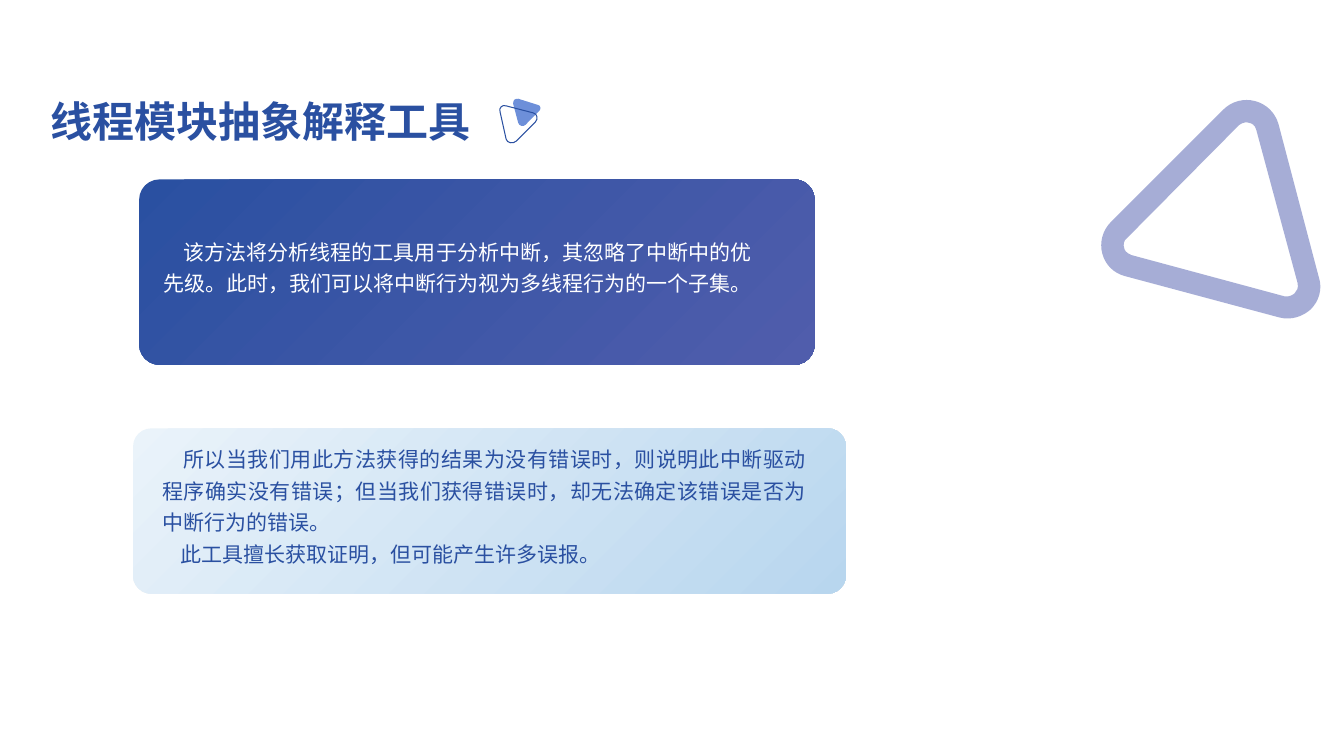
from math import cos, radians, sin

from lxml.etree import SubElement
from pptx import Presentation
from pptx.dml.color import RGBColor as RGB
from pptx.enum.lang import MSO_LANGUAGE_ID as LANG
from pptx.enum.shapes import MSO_SHAPE as SHAPE
from pptx.enum.text import MSO_ANCHOR as ANCHOR, MSO_AUTO_SIZE as AUTO, PP_ALIGN as ALIGN
from pptx.oxml.ns import qn
from pptx.util import Inches, Pt

COLORS = {
    "blue": "2A50A1", "violet": "505DAC", "ice": "EAF3FA", "sky": "B8D6EE",
    "accent": "6D8FD9", "ring": "8891C8", "white": "FFFFFF",
}

# Rounded triangles: each corner is a chain of cubic curves, joined by straight sides
SMALL_SOLID = [
    [(5.21, 1.24), (5.19, 1.26), (5.15, 1.25), (5.14, 1.22)],
    [(5.09, 1.03), (5.09, 1.02), (5.09, 1.0), (5.1, 0.99),
     (5.11, 0.98), (5.13, 0.98), (5.14, 0.98)],
    [(5.33, 1.04), (5.36, 1.04), (5.37, 1.08), (5.35, 1.1)],
]
SMALL_OUTLINE = [
    [(5.12, 1.4), (5.09, 1.43), (5.03, 1.42), (5.02, 1.38)],
    [(4.96, 1.11), (4.95, 1.09), (4.96, 1.07), (4.97, 1.06),
     (4.98, 1.05), (5.0, 1.04), (5.02, 1.05)],
    [(5.29, 1.12), (5.33, 1.13), (5.34, 1.18), (5.31, 1.21)],
]
RING_OUTER = [
    [(11.02, 2.2), (10.84, 2.38), (10.92, 2.68), (11.16, 2.74)],
    [(12.69, 3.15), (12.81, 3.18), (12.92, 3.14), (13.0, 3.07),
     (13.08, 2.99), (13.12, 2.87), (13.08, 2.75)],
    [(12.68, 1.23), (12.61, 0.99), (12.31, 0.91), (12.13, 1.09)],
]
RING_INNER = [
    [(11.22, 2.53), (11.17, 2.51), (11.15, 2.48), (11.15, 2.46),
     (11.14, 2.43), (11.14, 2.39), (11.18, 2.36)],
    [(12.29, 1.24), (12.33, 1.21), (12.37, 1.21), (12.39, 1.22),
     (12.41, 1.22), (12.45, 1.24), (12.46, 1.29)],
    [(12.87, 2.81), (12.88, 2.86), (12.86, 2.89), (12.84, 2.91),
     (12.83, 2.92), (12.79, 2.95), (12.74, 2.94)],
]


class Deck:
    font = "Arial"

    def __init__(self):
        self.prs = Presentation()
        self.prs.slide_width, self.prs.slide_height = Inches(13.33), Inches(7.5)
        self.slide = self.prs.slides.add_slide(self.prs.slide_layouts[5])

    def color(self, name):
        return RGB.from_string(COLORS[name])

    def group(self, *shapes):
        self.slide.shapes.add_group_shape(shapes)

    def frame(self, sp, wrap):
        tf = sp.text_frame
        tf.margin_left = tf.margin_right = tf.margin_top = tf.margin_bottom = 0
        tf.word_wrap, tf.vertical_anchor = wrap, ANCHOR.TOP
        tf.auto_size = AUTO.SHAPE_TO_FIT_TEXT
        return tf

    def style(self, p, size, color, bold=False):
        for r in p.runs:
            r.font.name, r.font.size, r.font.bold = self.font, Pt(size), bold
            r.font.color.rgb = self.color(color)
            r.font.language_id = LANG.SIMPLIFIED_CHINESE

    def title(self, text, x, y, w, h):
        sp = self.slide.shapes.title
        sp.left, sp.top, sp.width, sp.height = map(Inches, (x, y, w, h))
        tf = self.frame(sp, False)
        tf.text = text
        p = tf.paragraphs[0]
        p.alignment = ALIGN.LEFT
        self.style(p, 30, "blue", True)

    def card(self, x, y, w, h, start, end):
        sp = self.slide.shapes.add_shape(SHAPE.ROUNDED_RECTANGLE, *map(Inches, (x, y, w, h)))
        sp.adjustments[0] = 0.11
        sp.shadow.inherit = False
        sp.line.fill.background()
        sp.fill.gradient()
        sp.fill.gradient_angle = 315
        for stop, name in zip(sp.fill.gradient_stops, (start, end)):
            stop.color.rgb = self.color(name)
        return sp

    def text(self, paragraphs, x, y, w, h, color):
        """Write (text, first-line indent) paragraphs."""
        sp = self.slide.shapes.add_textbox(*map(Inches, (x, y, w, h)))
        tf = self.frame(sp, True)
        tf.text = "\n".join(text for text, _ in paragraphs)
        for p, (_, indent) in zip(tf.paragraphs, paragraphs):
            p.alignment, p.line_spacing = ALIGN.JUSTIFY, 1.25
            pPr = p._p.get_or_add_pPr()
            pPr.set("marL", "0")
            pPr.set("indent", str(Inches(indent)))
            self.style(p, 15, color)
        return sp

    def triangle(self, outlines, box, angle, fill=None, line=None, alpha=None):
        """Draw curved outlines, given in slide inches, in a box turned by angle."""
        x, y, w, h = box
        c, s = cos(radians(angle)), sin(radians(angle))
        left, top, right, bottom = map(Inches, (x, y, x + w, y + h))
        builder = self.slide.shapes.build_freeform(left, top)
        builder.add_line_segments([(right, top), (right, bottom), (left, bottom)])
        sp = builder.convert_to_shape()
        sp.rotation = angle

        # Curves inside the turned box
        path = sp._element.spPr.find(".//" + qn("a:path"))
        for node in list(path):
            path.remove(node)

        def command(name, points):
            node = SubElement(path, qn("a:" + name))
            for px, py in points:
                dx, dy = px - x - w / 2, py - y - h / 2
                pt = SubElement(node, qn("a:pt"))
                pt.set("x", str(Inches(w / 2 + dx * c + dy * s)))
                pt.set("y", str(Inches(h / 2 - dx * s + dy * c)))

        for corners in outlines:
            for n, corner in enumerate(corners):
                command("lnTo" if n else "moveTo", corner[:1])
                for i in range(1, len(corner), 3):
                    command("cubicBezTo", corner[i:i + 3])
            command("close", [])

        # Fill and line
        sp.shadow.inherit = False
        if fill:
            sp.fill.solid()
            sp.fill.fore_color.rgb = self.color(fill)
        else:
            sp.fill.background()
        if line:
            sp.line.color.rgb = self.color(line)
            sp.line.width = Pt(0.75)
        else:
            sp.line.fill.background()
        if alpha:
            clr = sp._element.spPr.find(qn("a:solidFill")).find(qn("a:srgbClr"))
            SubElement(clr, qn("a:alpha")).set("val", str(alpha * 1000))
        return sp


def main():
    deck = Deck()

    # Method card
    deck.group(
        deck.card(1.38, 1.78, 6.7, 1.84, "blue", "violet"),
        deck.text([("该方法将分析线程的工具用于分析中断，其忽略了中断中的优先级。"
                    "此时，我们可以将中断行为视为多线程行为的一个子集。", 0.2)],
                  1.62, 2.31, 5.84, 0.59, "white"))

    # Heading with its small triangles
    deck.group(
        deck.triangle([SMALL_SOLID], (5.04, 0.96, 0.29, 0.25), 315.4, fill="accent"),
        deck.triangle([SMALL_OUTLINE], (4.89, 1.01, 0.41, 0.35), 315.4, line="blue"))
    deck.title("线程模块抽象解释工具", 0.5, 0.95, 4.22, 0.5)

    # Large ring triangle
    deck.group(deck.triangle([RING_OUTER, RING_INNER], (11.09, 1.35, 2.39, 2.01), 135,
                             fill="ring", alpha=74))

    # Conclusion card
    deck.group(
        deck.card(1.32, 4.25, 7.07, 1.64, "ice", "sky"),
        deck.text([("所以当我们用此方法获得的结果为没有错误时，则说明此中断驱动程序确实没有错误；"
                    "但当我们获得错误时，却无法确定该错误是否为中断行为的错误。", 0.21),
                   ("此工具擅长获取证明，但可能产生许多误报。", 0.18)],
                  1.61, 4.37, 6.39, 1.22, "blue"))

    deck.prs.save("out.pptx")


if __name__ == "__main__":
    main()
